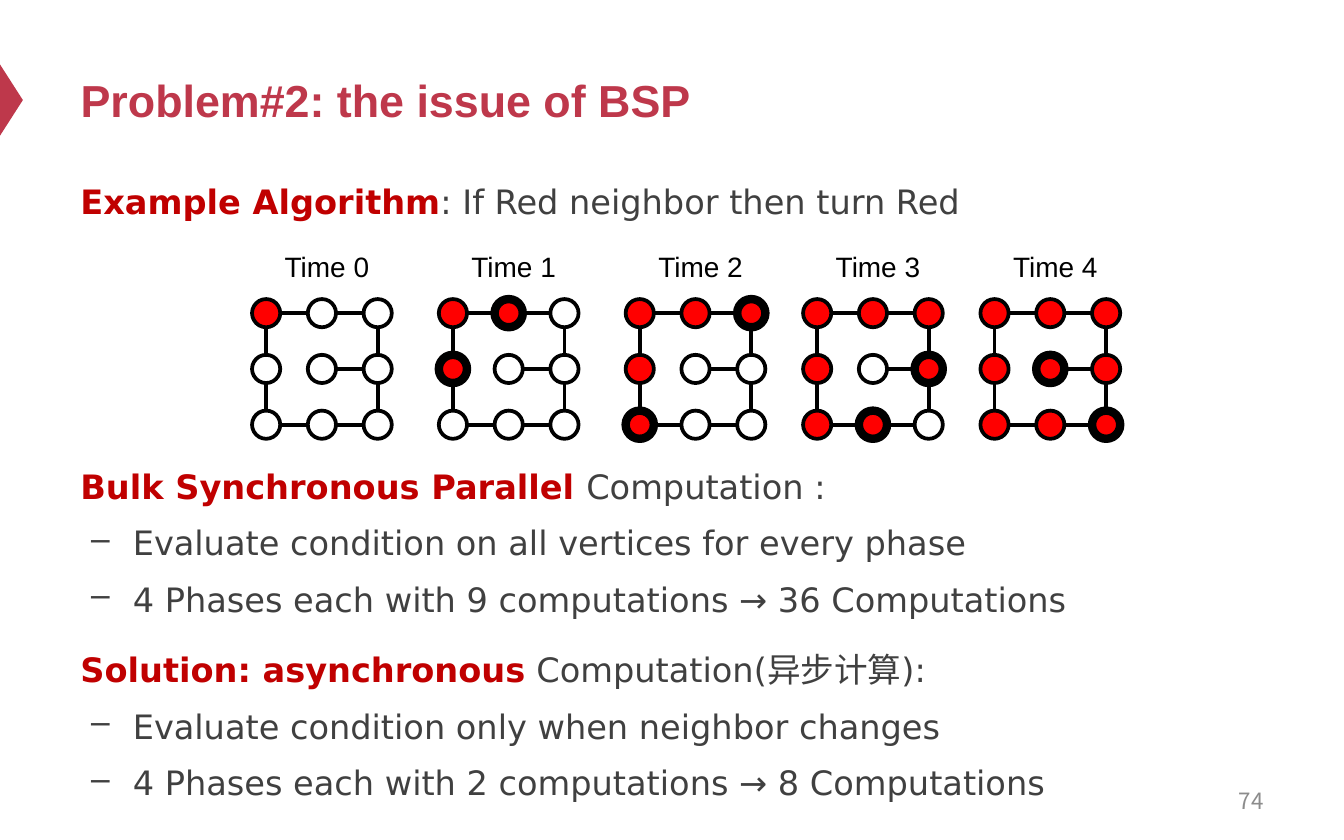
from dataclasses import dataclass

from lxml import etree
from pptx import Presentation
from pptx import util as u
from pptx.dml.color import RGBColor
from pptx.enum import shapes, text
from pptx.oxml import ns


@dataclass(frozen=True)
class Theme:
    heading_font: str = "Arial"
    body_font: str = "DejaVu Sans"
    asian_font: str = "Noto Sans CJK SC"
    accent: str = "BE384B"
    strong: str = "C00000"
    body: str = "404040"
    muted: str = "8C8C8C"
    ink: str = "000000"
    active: str = "FF0000"
    paper: str = "FFFFFF"
    title_size: float = 24
    body_size: float = 18
    label_size: float = 15
    number_size: float = 12
    thin: float = 2
    thick: float = 4.5


TITLE_ONLY = 5
DOT = 0.21
PITCH = 0.415
LATTICE_TOP = 2.33
LATTICE_LEFTS = [1.98, 3.37, 4.76, 6.08, 7.4]
ARRIVALS = [[0, 1, 2], [1, 4, 3], [2, 3, 4]]
EDGES = [
    ((0, 0), (2, 0)),
    ((1, 1), (2, 1)),
    ((0, 2), (2, 2)),
    ((2, 0), (2, 2)),
    ((0, 0), (0, 2)),
]
SECTIONS = [
    (0, "Example Algorithm", ": If Red neighbor then turn Red", []),
    (126.5, "Bulk Synchronous Parallel ", "Computation :", [
        "Evaluate condition on all vertices for every phase",
        "4 Phases each with 9 computations → 36 Computations",
    ]),
    (12, "Solution: asynchronous", " Computation(异步计算):", [
        "Evaluate condition only when neighbor changes",
        "4 Phases each with 2 computations → 8 Computations",
    ]),
]


class SlideBuilder:
    def __init__(self, slide, theme):
        self.slide = slide
        self.theme = theme

    def run(self, paragraph, words, size, font, color, bold=False):
        run = paragraph.add_run()
        run.text = words
        run.font.size = u.Pt(size)
        run.font.name = font
        run.font.bold = bold
        run.font.color.rgb = RGBColor.from_string(color)
        properties = run.font._element
        etree.SubElement(properties, ns.qn("a:ea"), typeface=self.theme.asian_font)

    def title(self, words):
        shape = self.slide.shapes.title
        shape.left, shape.top = u.Inches(0.5), u.Inches(0.25)
        shape.width, shape.height = u.Inches(9), u.Inches(0.98)
        frame = shape.text_frame
        frame.auto_size = text.MSO_AUTO_SIZE.NONE
        frame.vertical_anchor = text.MSO_ANCHOR.MIDDLE
        paragraph = frame.paragraphs[0]
        paragraph.alignment = text.PP_ALIGN.LEFT
        self.run(paragraph, words, self.theme.title_size,
                 self.theme.heading_font, self.theme.accent, True)

    def text_box(self, left, top, width, height, parent=None, wrap=True):
        owner = parent or self.slide
        shape = owner.shapes.add_textbox(
            u.Inches(left), u.Inches(top), u.Inches(width), u.Inches(height))
        shape.text_frame.word_wrap = wrap
        return shape.text_frame

    def filled_shape(self, kind, left, top, width, height, fill,
                     line_width=None, parent=None):
        owner = parent or self.slide
        shape = owner.shapes.add_shape(
            kind, u.Inches(left), u.Inches(top), u.Inches(width), u.Inches(height))
        shape.shadow.inherit = False
        shape.fill.solid()
        shape.fill.fore_color.rgb = RGBColor.from_string(fill)
        if line_width:
            shape.line.width = u.Pt(line_width)
            shape.line.color.rgb = RGBColor.from_string(self.theme.ink)
        else:
            shape.line.fill.background()
        return shape

    def marker(self):
        shape = self.filled_shape(shapes.MSO_SHAPE.ISOSCELES_TRIANGLE,
                                  -0.18, 0.66, 0.53, 0.17, self.theme.accent)
        shape.rotation = 90

    def edge(self, group, start, end):
        connector = group.shapes.add_connector(
            shapes.MSO_CONNECTOR.STRAIGHT, *(u.Inches(v) for v in (*start, *end)))
        connector.line.width = u.Pt(self.theme.thin)
        connector.line.color.rgb = RGBColor.from_string(self.theme.ink)
        etree.SubElement(connector._element.spPr, ns.qn("a:effectLst"))

    def lattice(self, time, left):
        theme = self.theme
        group = self.slide.shapes.add_group_shape()
        for (x1, y1), (x2, y2) in EDGES:
            trim_x = DOT / 2 if x1 != x2 else 0
            trim_y = DOT / 2 if y1 != y2 else 0
            self.edge(
                group,
                (left + x1 * PITCH + trim_x, LATTICE_TOP + y1 * PITCH + trim_y),
                (left + x2 * PITCH - trim_x, LATTICE_TOP + y2 * PITCH - trim_y))
        for row, arrivals in enumerate(ARRIVALS):
            for column, arrival in enumerate(arrivals):
                fill = theme.active if arrival <= time else theme.paper
                width = theme.thick if arrival == time > 0 else theme.thin
                self.filled_shape(
                    shapes.MSO_SHAPE.OVAL, left + column * PITCH - DOT / 2,
                    LATTICE_TOP + row * PITCH - DOT / 2, DOT, DOT,
                    fill, width, group)
        frame = self.text_box(left + 0.04, 1.81, 0.84, 0.35, group, False)
        frame.auto_size = text.MSO_AUTO_SIZE.SHAPE_TO_FIT_TEXT
        self.run(frame.paragraphs[0], f"Time {time}", theme.label_size,
                 theme.heading_font, theme.ink)

    def bullet(self, paragraph):
        properties = paragraph._p.get_or_add_pPr()
        properties.set("marL", str(u.Inches(0.39)))
        properties.set("indent", str(u.Inches(-0.31)))
        etree.SubElement(properties, ns.qn("a:buChar"), char="–")

    def body(self, sections):
        theme = self.theme
        frame = self.text_box(0.5, 1.24, 9, 5.0)
        for index, (space, lead, rest, points) in enumerate(sections):
            paragraph = frame.add_paragraph() if index else frame.paragraphs[0]
            paragraph.line_spacing = 1.2
            paragraph.space_before = u.Pt(space)
            self.run(paragraph, lead, theme.body_size, theme.body_font,
                     theme.strong, True)
            self.run(paragraph, rest, theme.body_size, theme.body_font, theme.body)
            for point in points:
                paragraph = frame.add_paragraph()
                paragraph.level = 1
                self.bullet(paragraph)
                paragraph.line_spacing = 1.2
                paragraph.space_before = u.Pt(4.3)
                self.run(paragraph, point, theme.body_size, theme.body_font,
                         theme.body)

    def slide_number(self, number):
        frame = self.text_box(7.17, 5.79, 2.33, 0.33)
        frame.vertical_anchor = text.MSO_ANCHOR.MIDDLE
        paragraph = frame.paragraphs[0]
        paragraph.alignment = text.PP_ALIGN.RIGHT
        self.run(paragraph, number, self.theme.number_size,
                 self.theme.asian_font, self.theme.muted)


def main():
    presentation = Presentation()
    presentation.slide_width = u.Inches(10)
    presentation.slide_height = u.Inches(6.25)
    slide = presentation.slides.add_slide(presentation.slide_layouts[TITLE_ONLY])
    builder = SlideBuilder(slide, Theme())
    builder.marker()
    builder.title("Problem#2: the issue of BSP")
    builder.body(SECTIONS)
    builder.slide_number("74")
    for time, left in enumerate(LATTICE_LEFTS):
        builder.lattice(time, left)
    presentation.save("out.pptx")


if __name__ == "__main__":
    main()
